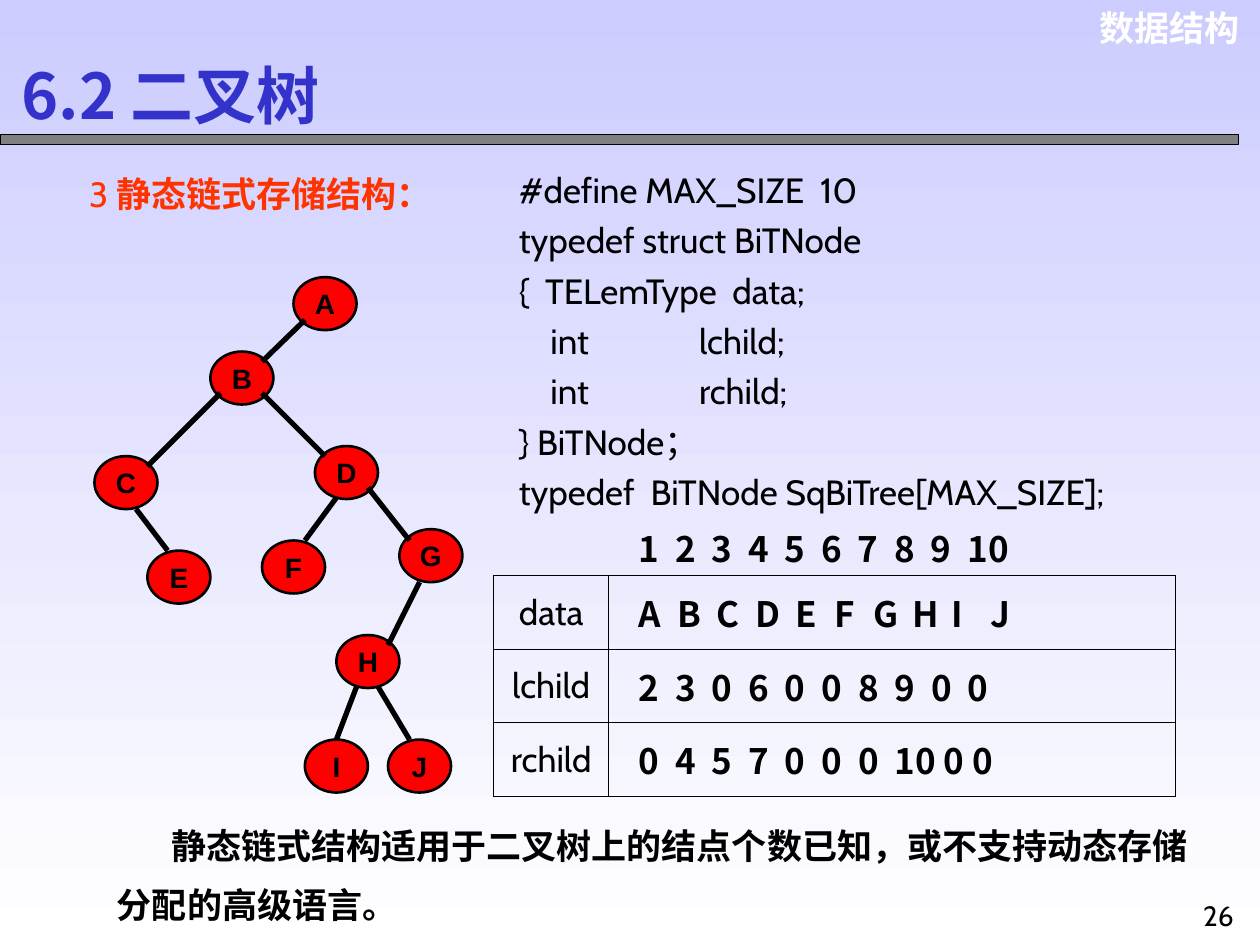
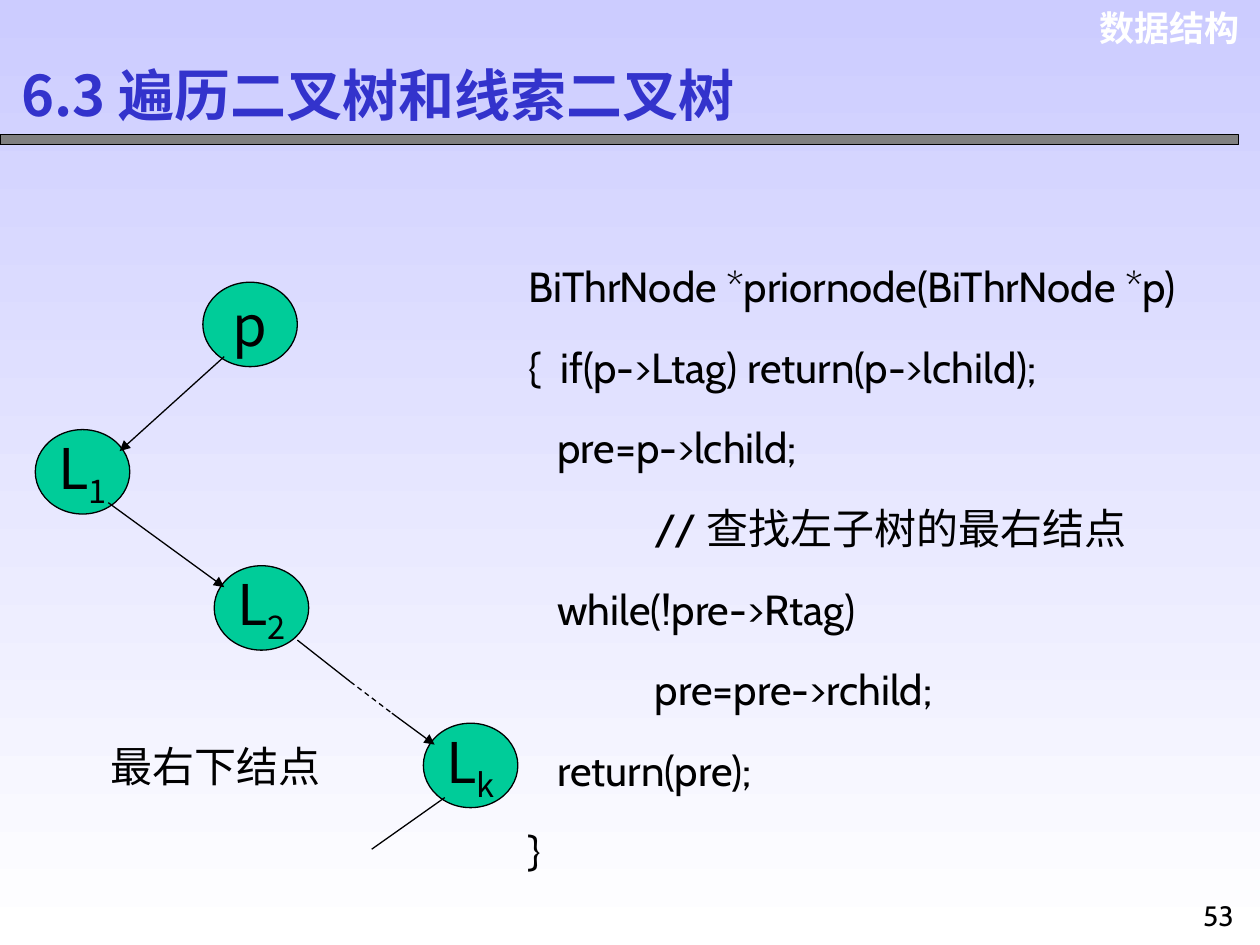
from dataclasses import dataclass, replace

from lxml import etree
from pptx import Presentation
from pptx import util as u
from pptx.dml import color
from pptx.enum import dml, shapes, text
from pptx.oxml import ns

BLACK, WHITE, RED, GREEN = "000000", "FFFFFF", "FF0000", "00CC99"
GREY, LAVENDER, TITLE_BLUE, ORANGE = "808080", "CCCCFF", "3333CC", "FF3300"
CJK = "Noto Sans CJK SC"
LEFT, CENTER, RIGHT = text.PP_ALIGN.LEFT, text.PP_ALIGN.CENTER, text.PP_ALIGN.RIGHT
MIDDLE = text.MSO_ANCHOR.MIDDLE


@dataclass(frozen=True)
class Span:
    text: str
    size: float = 20
    font: str = "Cabin"
    color: str = BLACK
    bold: bool = False
    baseline: int = 0


@dataclass(frozen=True)
class Para:
    spans: tuple[Span, ...]
    align: text.PP_ALIGN = LEFT
    spacing: float = 1.0
    tabs: tuple[float, ...] = ()
    indent: float = 0


@dataclass(frozen=True)
class Node:
    label: str
    left: float
    top: float
    subscript: str = ""


@dataclass(frozen=True)
class NodeStyle:
    width: float
    height: float
    fill: str
    line: float
    span: Span


@dataclass(frozen=True)
class Edge:
    x1: float
    y1: float
    x2: float
    y2: float
    arrow: bool = False
    dashed: bool = False


@dataclass(frozen=True)
class Field:
    name: str
    values: str
    pitch: float = 0.29


TREE_STYLE = NodeStyle(0.5, 0.42, RED, 1.5, Span("", 16, "Arial", bold=True))
TREE_NODES = (
    Node("A", 2.33, 2.2), Node("B", 1.67, 2.79), Node("D", 2.5, 3.54),
    Node("G", 3.17, 4.2), Node("E", 1.17, 4.37), Node("F", 2.08, 4.29),
    Node("H", 2.67, 5.04), Node("J", 3.08, 5.87), Node("I", 2.42, 5.87),
    Node("C", 0.75, 3.62),
)
TREE_EDGES = (
    Edge(2.42, 2.54, 2.08, 2.87), Edge(1.75, 3.12, 1.17, 3.7),
    Edge(2.08, 3.12, 2.58, 3.62), Edge(2.92, 3.87, 3.25, 4.29),
    Edge(2.67, 3.95, 2.42, 4.29), Edge(1.08, 4.04, 1.33, 4.37),
    Edge(3.33, 4.62, 3.08, 5.12), Edge(2.83, 5.45, 2.67, 5.87),
    Edge(3, 5.45, 3.25, 5.87),
)
STRUCT_CODE = """#define MAX_SIZE  10
typedef struct BiTNode
{  TELemType  data;
    int\tlchild;
    int\trchild;
} BiTNode；
typedef  BiTNode SqBiTree[MAX_SIZE];"""
INDEXES = "1 2 3 4 5 6 7 8 9 10".replace(" ", "\t")
FIELDS = (
    Field("data", "A\tB\tC\tD\tE\tF\tG\tH\tI\tJ", 0.31),
    Field("lchild", "2\t3\t0\t6\t0\t0\t8\t9\t0\t0"),
    Field("rchild", "0\t4\t5\t7\t0\t0\t0\t10 0 0"),
)

PATH_STYLE = NodeStyle(0.75, 0.67, GREEN, 0.75, Span("", 32, "Noto Sans CJK JP"))
PATH_NODES = (
    Node("p", 1.61, 2.24), Node("L", 0.28, 3.41, "1"),
    Node("L", 1.7, 4.49, "2"), Node("L", 3.36, 5.74, "k"),
)
PATH_EDGES = (
    Edge(1.78, 2.83, 0.95, 3.58, arrow=True),
    Edge(0.86, 3.99, 1.78, 4.66, arrow=True),
    Edge(3.11, 5.66, 3.45, 5.91, arrow=True),
    Edge(2.78, 5.41, 2.36, 5.08),
    Edge(2.78, 5.41, 3.11, 5.66, dashed=True),
    Edge(2.95, 6.74, 3.53, 6.33),
)
PRIOR_CODE = """BiThrNode *priornode(BiThrNode *p)
{  if(p->Ltag) return(p->lchild);
   pre=p->lchild;
\t// 查找左子树的最右结点
   while(!pre->Rtag)
\tpre=pre->rchild;
   return(pre);
}"""


def rgb(value: str) -> color.RGBColor:
    return color.RGBColor.from_string(value)


def add_child(parent, tag: str, **attributes: str):
    child = etree.SubElement(parent, ns.qn(tag))
    for name, value in attributes.items():
        child.set(name, value)
    return child


def write(frame, *paras: Para) -> None:
    for index, para in enumerate(paras):
        target = frame.add_paragraph() if index else frame.paragraphs[0]
        target.alignment = para.align
        target.line_spacing = para.spacing
        properties = target._p.get_or_add_pPr()
        if para.indent:
            properties.set("indent", str(u.Inches(para.indent)))
        if para.tabs:
            stops = add_child(properties, "a:tabLst")
            for stop in para.tabs:
                add_child(stops, "a:tab", pos=str(u.Inches(stop)), algn="l")
        for span in para.spans:
            run = target.add_run()
            run.text = span.text
            run.font.size = u.Pt(span.size)
            run.font.bold = span.bold
            run.font.name = span.font
            run.font.color.rgb = rgb(span.color)
            style = run._r.get_or_add_rPr()
            east_asian = span.font if "CJK" in span.font else CJK
            add_child(style, "a:ea", typeface=east_asian)
            if span.baseline:
                style.set("baseline", str(span.baseline))


def add_text(page, left: float, top: float, width: float, height: float, *paras: Para) -> None:
    box = page.shapes.add_textbox(*map(u.Inches, (left, top, width, height)))
    box.text_frame.word_wrap = True
    write(box.text_frame, *paras)


def code_paras(code: str, size: float, spacing: float, tab: float) -> list[Para]:
    return [Para((Span(line, size),), spacing=spacing, tabs=(tab,)) for line in code.splitlines()]


def value_para(values: str, pitch: float) -> Para:
    tabs = tuple(round(pitch * step, 2) for step in range(1, values.count("\t") + 1))
    return Para((Span(values, font=CJK, bold=True),), tabs=tabs)


def add_solid(page, kind, left: float, top: float, width: float, height: float,
              fill: str, line: float):
    shape = page.shapes.add_shape(kind, *map(u.Inches, (left, top, width, height)))
    shape.shadow.inherit = False
    shape.fill.solid()
    shape.fill.fore_color.rgb = rgb(fill)
    shape.line.color.rgb = rgb(BLACK)
    shape.line.width = u.Pt(line)
    return shape


def add_nodes(page, nodes: tuple[Node, ...], style: NodeStyle) -> None:
    for node in nodes:
        shape = add_solid(page, shapes.MSO_SHAPE.OVAL, node.left, node.top,
                          style.width, style.height, style.fill, style.line)
        shape.text_frame.word_wrap = False
        shape.text_frame.vertical_anchor = MIDDLE
        spans = [replace(style.span, text=node.label)]
        if node.subscript:
            spans.append(replace(style.span, text=node.subscript, baseline=-25000))
        write(shape.text_frame, Para(tuple(spans), CENTER))


def add_edges(page, edges: tuple[Edge, ...], width: float) -> None:
    for edge in edges:
        link = page.shapes.add_connector(
            shapes.MSO_CONNECTOR.STRAIGHT,
            *map(u.Inches, (edge.x1, edge.y1, edge.x2, edge.y2)))
        link.line.color.rgb = rgb(BLACK)
        link.line.width = u.Pt(width)
        if edge.dashed:
            link.line.dash_style = dml.MSO_LINE.DASH
        if edge.arrow:
            add_child(link.line._get_or_add_ln(), "a:tailEnd", type="triangle")
        add_child(link._element.spPr, "a:effectLst")


def format_cell(cell, para: Para, margin: float) -> None:
    cell.fill.background()
    cell.vertical_anchor = MIDDLE
    cell.margin_left = u.Inches(margin)
    cell.margin_right = u.Inches(0.05)
    write(cell.text_frame, para)
    properties = cell._tc.get_or_add_tcPr()
    for index, side in enumerate(("lnL", "lnR", "lnT", "lnB")):
        border = add_child(properties, f"a:{side}", w=str(u.Pt(0.75)))
        add_child(add_child(border, "a:solidFill"), "a:srgbClr", val=BLACK)
        properties.insert(index, border)


def add_field_table(page) -> None:
    frame = page.shapes.add_table(len(FIELDS), 2, *map(u.Inches, (3.92, 4.57, 5.41, 1.75)))
    table = frame.table
    table.first_row = table.horz_banding = False
    for column, width in zip(table.columns, (0.91, 4.5)):
        column.width = u.Inches(width)
    for row, field in zip(table.rows, FIELDS):
        name, values = row.cells
        format_cell(name, Para((Span(field.name),), CENTER), 0.05)
        format_cell(values, value_para(field.values, field.pitch), 0.24)


def add_page(deck, title: str, size: float, width: float, number: int):
    page = deck.slides.add_slide(deck.slide_layouts[5])
    add_text(page, 8.57, 0, 1.37, 0.44,
             Para((Span("数据结构", font="Arial", color=WHITE, bold=True),), RIGHT))
    add_solid(page, shapes.MSO_SHAPE.RECTANGLE, 0, 1.07, 9.83, 0.08, GREY, 0.75)
    heading = page.shapes.title
    heading.left, heading.top, heading.width, heading.height = map(
        u.Inches, (0.07, 0.46, width, 0.57))
    heading.text_frame.vertical_anchor = MIDDLE
    heading.text_frame.auto_size = text.MSO_AUTO_SIZE.NONE
    write(heading.text_frame, Para((Span(title, size, CJK, TITLE_BLUE, True),)))
    add_text(page, 9.42, 7.08, 0.5, 0.42, Para((Span(str(number), 16),), CENTER))
    return page


def build_storage(deck) -> None:
    page = add_page(deck, "6.2 二叉树", 36, 3.2, 26)
    add_nodes(page, TREE_NODES, TREE_STYLE)
    add_edges(page, TREE_EDGES, 3)
    add_text(page, 4.02, 1.22, 5.6, 2.9, *code_paras(STRUCT_CODE, 20, 1.2, 1.43))
    add_text(page, 4.97, 4.14, 4.4, 0.44, value_para(INDEXES, 0.29))
    add_field_table(page)
    add_text(page, 0.61, 1.32, 3.3, 0.44, Para((
        Span("3 ", color=ORANGE),
        Span("静态", color=ORANGE, bold=True),
        Span("链式存储结构：", font="Arial", color=ORANGE, bold=True))))
    summary = "静态链式结构适用于二叉树上的结点个数已知，或不支持动态存储分配的高级语言。"
    add_text(page, 0.83, 6.36, 8.9, 1.04,
             Para((Span(summary, font="Arial", bold=True),), spacing=1.4, indent=0.43))


def build_traversal(deck) -> None:
    page = add_page(deck, "6.3 遍历二叉树和线索二叉树", 32, 6.75, 53)
    add_nodes(page, PATH_NODES, PATH_STYLE)
    add_edges(page, PATH_EDGES, 0.75)
    add_text(page, 0.78, 5.83, 2.25, 0.5, Para((Span("最右下结点", 24, "Noto Sans CJK JP"),)))
    add_text(page, 4.1, 1.78, 5.67, 5.86, *code_paras(PRIOR_CODE, 24, 1.6, 1))


def main() -> None:
    """Build the two binary tree slides."""
    deck = Presentation()
    deck.slide_width, deck.slide_height = u.Inches(10), u.Inches(7.5)
    fill = deck.slide_master.background.fill
    fill.gradient()
    fill.gradient_angle = 270
    for stop, shade in zip(fill.gradient_stops, (LAVENDER, WHITE)):
        stop.color.rgb = rgb(shade)
    build_storage(deck)
    build_traversal(deck)
    deck.save("out.pptx")


if __name__ == "__main__":
    main()
